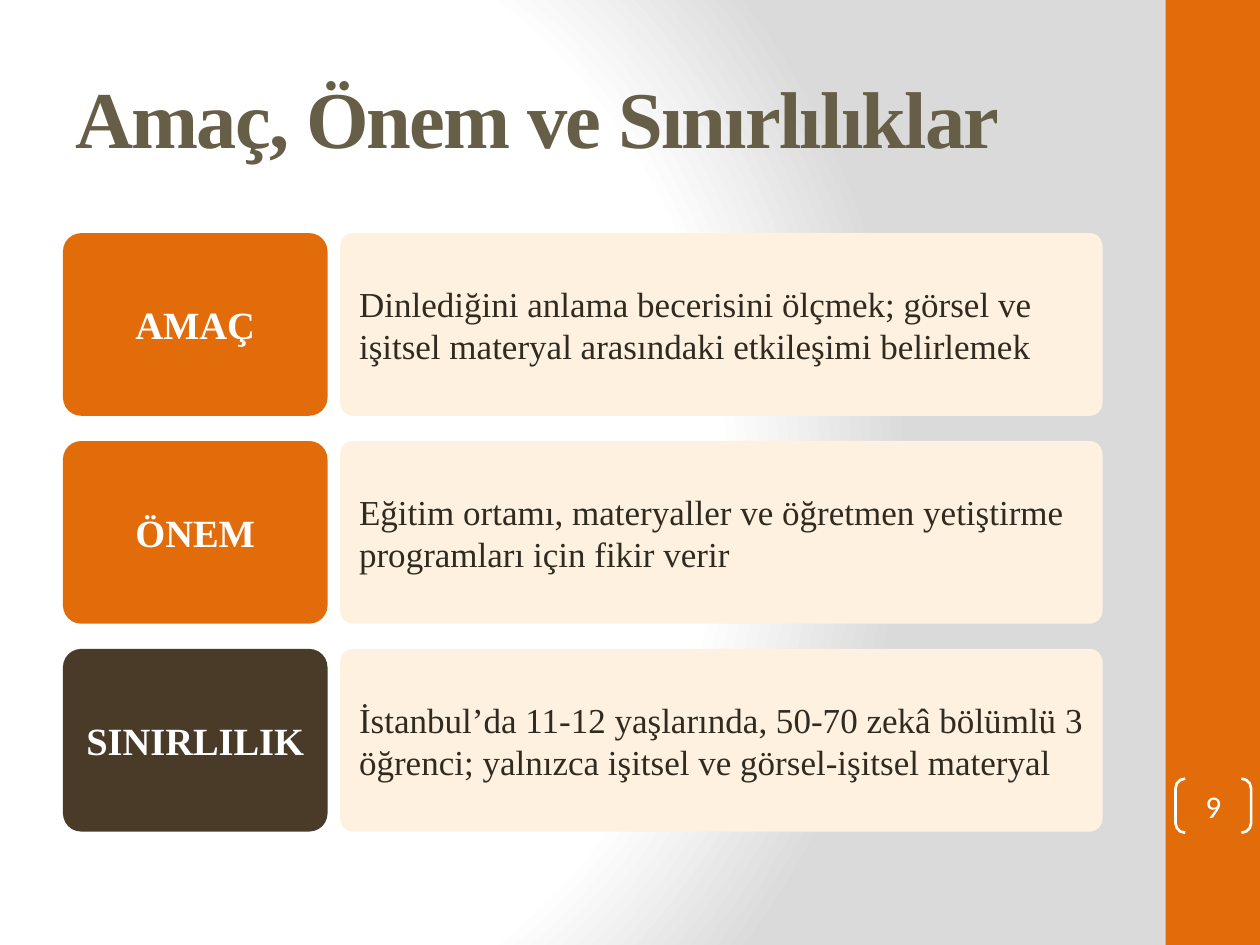
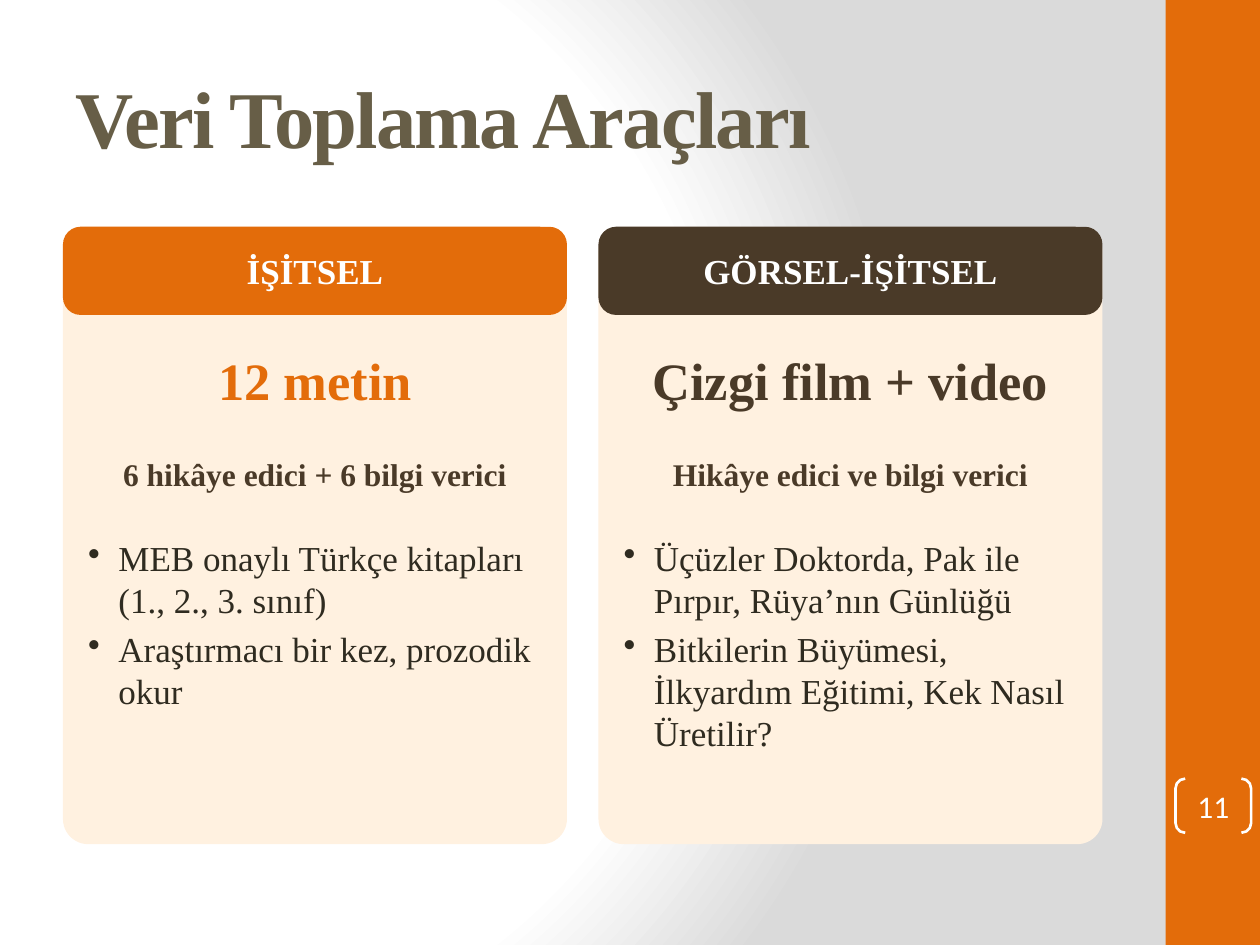
from pptx import Presentation
from pptx.dml.color import RGBColor
from pptx.enum.shapes import MSO_SHAPE
from pptx.enum.text import MSO_ANCHOR, PP_ALIGN
from pptx.oxml import parse_xml
from pptx.oxml.ns import nsdecls
from pptx.oxml.xmlchemy import OxmlElement
from pptx.util import Inches, Pt

ORANGE = RGBColor(0xE3, 0x6C, 0x0A)
BROWN = RGBColor(0x4A, 0x3A, 0x28)
CREAM = RGBColor(0xFF, 0xF1, 0xE0)
OLIVE = RGBColor(0x67, 0x5E, 0x47)
INK = RGBColor(0x2F, 0x2B, 0x20)
WHITE = RGBColor(0xFF, 0xFF, 0xFF)
SILVER = RGBColor(0xDA, 0xDA, 0xDA)

COLUMNS, ROWS = 200, 150  # square grid cells over the whole slide
SERIF = "Times New Roman"
BULLET_INDENT = Inches(0.24)
CARD_INSETS = (0.12, 0.06)
TEXT_INSETS = (0.05, 0.06)

BACKGROUND = f"""
<p:bg {nsdecls("p", "a")}><p:bgPr><a:gradFill rotWithShape="1"><a:gsLst>
<a:gs pos="0"><a:srgbClr val="{WHITE}"/></a:gs>
<a:gs pos="75000"><a:srgbClr val="{WHITE}"/></a:gs>
<a:gs pos="100000"><a:srgbClr val="{SILVER}"/></a:gs>
</a:gsLst><a:path path="circle">
<a:fillToRect l="20000" t="50000" r="100000" b="50000"/>
</a:path></a:gradFill><a:effectLst/></p:bgPr></p:bg>"""


class SlideBuilder:
    """Holds the deck, its style and the slide being built."""

    def __init__(self):
        self.deck = Presentation()
        self.deck.slide_width, self.deck.slide_height = Inches(10), Inches(7.5)
        self.page = None

    def place(self, column, row, columns, rows):
        cell_width = self.deck.slide_width / COLUMNS
        cell_height = self.deck.slide_height / ROWS
        return (round(column * cell_width), round(row * cell_height),
                round(columns * cell_width), round(rows * cell_height))

    def start(self, title, number):
        """Add a slide with its background, side band, title and number."""
        self.page = self.deck.slides.add_slide(self.deck.slide_layouts[6])
        self.page.element.cSld.insert(0, parse_xml(BACKGROUND))
        self.shape((185, 0, 15, ROWS), ORANGE, kind=MSO_SHAPE.RECTANGLE)
        heading = self.text((10, 6, 166.6, 25), [title], 46, OLIVE, bold=True,
                            insets=(0.1, 0.05), anchor=MSO_ANCHOR.MIDDLE, after=0)
        heading.text_frame.paragraphs[0].font._element.set("spc", "-100")
        bracket = self.shape((186.6, 123.6, 12, 8.6), None, 0.179,
                             MSO_SHAPE.DOUBLE_BRACKET)
        bracket.line.color.rgb = WHITE
        bracket.line.width = Pt(1.5)
        self.add_lines(bracket, [str(number)], 18, WHITE, align=PP_ALIGN.CENTER,
                       font="Calibri", insets=(0, 0), after=0)

    def shape(self, area, fill, corner=None, kind=MSO_SHAPE.ROUNDED_RECTANGLE):
        box = self.page.shapes.add_shape(kind, *self.place(*area))
        box.shadow.inherit = False
        box.line.fill.background()
        if fill is None:
            box.fill.background()
        else:
            box.fill.solid()
            box.fill.fore_color.rgb = fill
        if corner is not None:
            box.adjustments[0] = corner
        return box

    def card(self, area, fill, corner, text, size, color, **style):
        self.add_lines(self.shape(area, fill, corner), [text], size, color, **style)

    def text(self, area, lines, size, color, insets=TEXT_INSETS,
             anchor=MSO_ANCHOR.TOP, **style):
        box = self.page.shapes.add_textbox(*self.place(*area))
        self.add_lines(box, lines, size, color, insets=insets, anchor=anchor, **style)
        return box

    def add_lines(self, box, lines, size, color, bold=False, align=PP_ALIGN.LEFT,
                  font=SERIF, insets=CARD_INSETS, anchor=MSO_ANCHOR.MIDDLE,
                  after=4, bullets=False):
        frame = box.text_frame
        frame.word_wrap = True
        frame.vertical_anchor = anchor
        frame.margin_left = frame.margin_right = Inches(insets[0])
        frame.margin_top = frame.margin_bottom = Inches(insets[1])
        for index, line in enumerate(lines):
            para = frame.add_paragraph() if index else frame.paragraphs[0]
            para.text = line
            if bullets:
                self.add_bullet(para)
            para.alignment = align
            para.space_after = Pt(after)
            para.font.name, para.font.size = font, Pt(size)
            para.font.bold = bold
            para.font.color.rgb = color

    def add_bullet(self, para):
        properties = para._p.get_or_add_pPr()
        properties.set("marL", str(BULLET_INDENT))
        properties.set("indent", str(-BULLET_INDENT))
        mark = OxmlElement("a:buChar")
        mark.set("char", "•")
        properties.append(mark)


def add_purpose_slide(builder):
    builder.start("Amaç, Önem ve Sınırlılıklar", 9)
    topics = [
        ("AMAÇ", ORANGE, "Dinlediğini anlama becerisini ölçmek; görsel ve "
         "işitsel materyal arasındaki etkileşimi belirlemek"),
        ("ÖNEM", ORANGE, "Eğitim ortamı, materyaller ve öğretmen yetiştirme "
         "programları için fikir verir"),
        ("SINIRLILIK", BROWN, "İstanbul’da 11-12 yaşlarında, 50-70 zekâ bölümlü 3 "
         "öğrenci; yalnızca işitsel ve görsel-işitsel materyal"),
    ]
    for index, (label, color, description) in enumerate(topics):
        row = 37 + 33 * index
        builder.card((10, row, 42, 29), color, 0.1, label, 22, WHITE,
                     bold=True, align=PP_ALIGN.CENTER)
        builder.card((54, row, 121, 29), CREAM, 0.07, description, 20, INK)


def add_tools_slide(builder):
    builder.start("Veri Toplama Araçları", 11)
    tools = [
        ("İŞİTSEL", ORANGE, "12 metin", "6 hikâye edici + 6 bilgi verici",
         ["MEB onaylı Türkçe kitapları (1., 2., 3. sınıf)",
          "Araştırmacı bir kez, prozodik okur"]),
        ("GÖRSEL-İŞİTSEL", BROWN, "Çizgi film + video", "Hikâye edici ve bilgi verici",
         ["Üçüzler Doktorda, Pak ile Pırpır, Rüya’nın Günlüğü",
          "Bitkilerin Büyümesi, İlkyardım Eğitimi, Kek Nasıl Üretilir?"]),
    ]
    centred = {"bold": True, "align": PP_ALIGN.CENTER}
    for index, (label, color, headline, kinds, details) in enumerate(tools):
        column = 10 + 85 * index
        builder.shape((column, 36, 80, 98), CREAM, 0.05)
        builder.card((column, 36, 80, 14), color, 0.2, label, 20, WHITE, **centred)
        builder.text((column, 54, 80, 18), [headline], 30, color, **centred)
        builder.text((column, 71, 80, 10), [kinds], 18, BROWN, **centred)
        builder.text((column + 3, 84, 74, 48), details, 20, INK, bullets=True)


def main():
    builder = SlideBuilder()
    add_purpose_slide(builder)
    add_tools_slide(builder)
    builder.deck.save("out.pptx")


if __name__ == "__main__":
    main()
